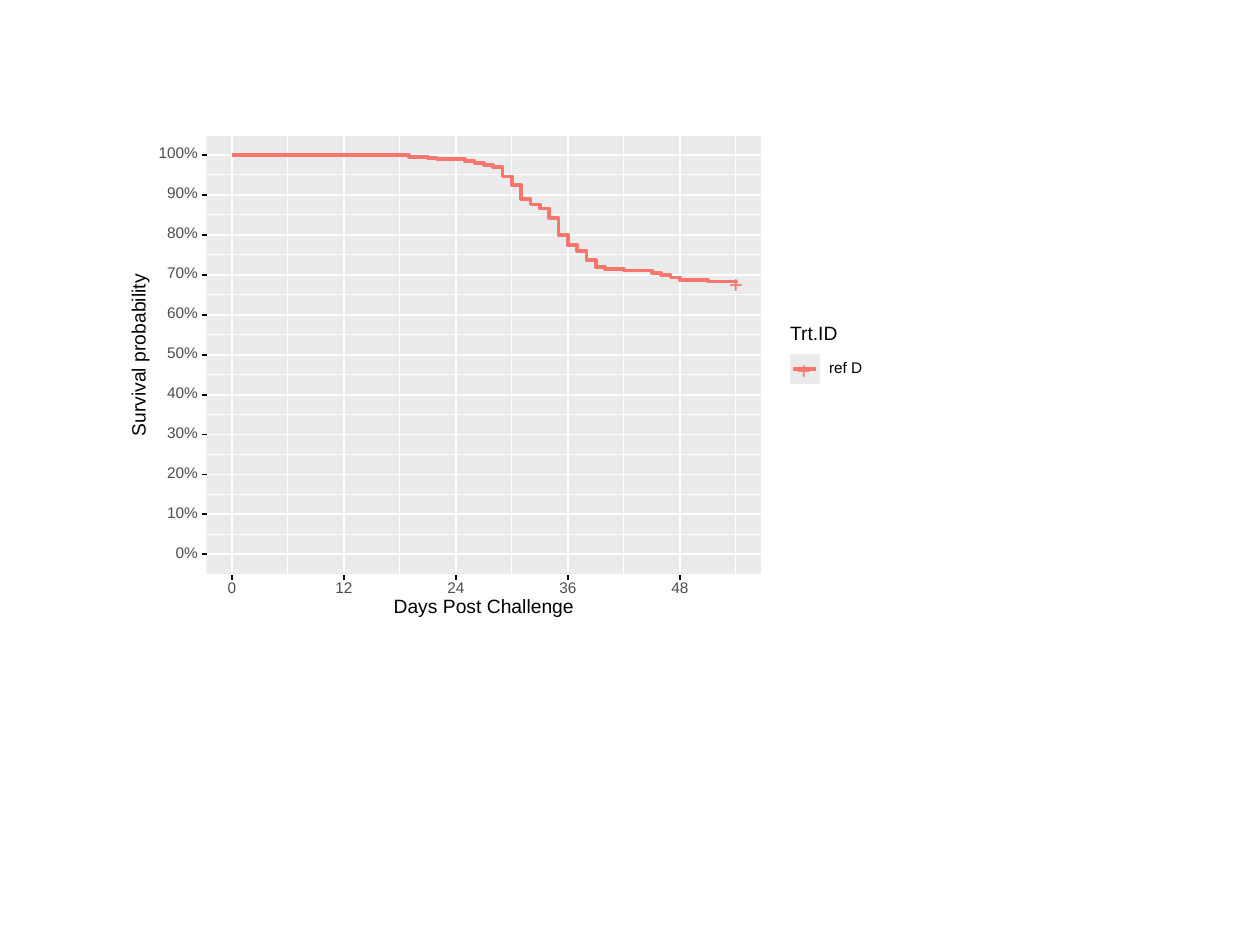
from pptx import Presentation
from pptx.dml.color import RGBColor
from pptx.enum.shapes import MSO_CONNECTOR as CONN, MSO_SHAPE as SHAPE
from pptx.enum.text import MSO_ANCHOR as ANCHOR, PP_ALIGN as ALIGN
from pptx.oxml.ns import qn
from pptx.util import Inches, Pt
from lxml.etree import SubElement

WHITE = RGBColor(0xFF, 0xFF, 0xFF)
BLACK = RGBColor(0, 0, 0)
PANEL = RGBColor(0xEB, 0xEB, 0xEB)
GREY = RGBColor(0x4D, 0x4D, 0x4D)
CORAL = RGBColor(0xF8, 0x76, 0x6D)

# Plot panel edges and line widths
LEFT, TOP, RIGHT, BOTTOM = 1.64, 1.08, 6.04, 4.56
TICK = 0.04
THIN, MEDIUM, THICK = 0.53, 1.07, 2.13

# Survival (%) from each day on
SURVIVAL = [
    (0, 100), (19, 99.5), (21, 99.2), (22, 98.9), (25, 98.5), (26, 98),
    (27, 97.4), (28, 97), (29, 94.6), (30, 92.4), (31, 89), (32, 87.6),
    (33, 86.6), (34, 84.3), (35, 80), (36, 77.4), (37, 76), (38, 73.7),
    (39, 72), (40, 71.4), (42, 71.1), (45, 70.4), (46, 70), (47, 69.3),
    (48, 68.7), (51, 68.3), (54, 67.9),
]


def day_x(day):
    return 1.84 + day * 4 / 54


def pct_y(pct):
    return 4.4 - pct * 3.17 / 100


class Plot:
    """Draws the parts of the plot as one group on a slide."""

    font = "Arial"

    def __init__(self, slide):
        self.shapes = slide.shapes.add_group_shape().shapes

    def rect(self, x, y, w, h, fill, line=None):
        sp = self.shapes.add_shape(SHAPE.RECTANGLE, Inches(x), Inches(y),
                                   Inches(w), Inches(h))
        sp.shadow.inherit = False
        sp.fill.solid()
        sp.fill.fore_color.rgb = fill
        if line is None:
            sp.line.fill.background()
        else:
            sp.line.color.rgb = line
            sp.line.width = Pt(MEDIUM)

    def line(self, x1, y1, x2, y2, color, width):
        cn = self.shapes.add_connector(CONN.STRAIGHT, Inches(x1), Inches(y1),
                                       Inches(x2), Inches(y2))
        cn.line.color.rgb = color
        cn.line.width = Pt(width)
        SubElement(cn._element.spPr, qn("a:effectLst"))

    def curve(self, points, color, width):
        pts = [(Inches(x), Inches(y)) for x, y in points]
        fb = self.shapes.build_freeform(*pts[0])
        fb.add_line_segments(pts[1:], close=False)
        sp = fb.convert_to_shape()
        sp.shadow.inherit = False
        sp.fill.background()
        sp.line.color.rgb = color
        sp.line.width = Pt(width)

    def text(self, text, x, y, w, h, size, color, align=ALIGN.LEFT, rotation=0):
        sp = self.shapes.add_textbox(Inches(x), Inches(y), Inches(w), Inches(h))
        sp.rotation = rotation
        tf = sp.text_frame
        tf.word_wrap = False
        tf.vertical_anchor = ANCHOR.MIDDLE
        tf.margin_left = tf.margin_right = tf.margin_top = tf.margin_bottom = 0
        p = tf.paragraphs[0]
        p.alignment = align
        p.line_spacing = Pt(size)
        r = p.add_run()
        r.text = text
        r.font.name = self.font
        r.font.size = Pt(size)
        r.font.color.rgb = color

    def censor_mark(self, x, y):
        self.text("+", x - 0.07, y, 0.14, 0.09, 13.7, CORAL, ALIGN.CENTER)


def main():
    prs = Presentation()
    prs.slide_width, prs.slide_height = Inches(10), Inches(7.5)
    s = prs.slides.add_slide(prs.slide_layouts[6])
    plot = Plot(s)

    # Background and panel
    plot.rect(1, 1, 6, 4, WHITE, WHITE)
    plot.rect(LEFT, TOP, RIGHT - LEFT, BOTTOM - TOP, PANEL)

    # Minor grid, then major grid
    pct_ticks, day_ticks = range(0, 101, 10), range(0, 49, 12)
    for pcts, days, width in (
        (range(-5, 106, 10), range(6, 55, 12), THIN),
        (pct_ticks, day_ticks, MEDIUM),
    ):
        for pct in pcts:
            plot.line(LEFT, pct_y(pct), RIGHT, pct_y(pct), WHITE, width)
        for day in days:
            plot.line(day_x(day), BOTTOM, day_x(day), TOP, WHITE, width)

    # Survival step curve: run along to each day, then drop
    steps = [(day_x(0), pct_y(100))]
    for day, pct in SURVIVAL[1:]:
        steps += [(day_x(day), steps[-1][1]), (day_x(day), pct_y(pct))]
    plot.curve(steps, CORAL, THICK)
    plot.censor_mark(day_x(54), 2.23)

    # Vertical axis
    for pct in pct_ticks:
        y, label = pct_y(pct), f"{pct}%"
        w = 0.1 + 0.07 * len(label)
        plot.text(label, 1.57 - w, y - 0.05, w, 0.09, 8.8, GREY, ALIGN.RIGHT)
        plot.line(LEFT - TICK, y, LEFT, y, BLACK, MEDIUM)
    plot.text("Survival probability", 0.36, 2.75, 1.5, 0.14, 11, BLACK,
              ALIGN.CENTER, rotation=270)

    # Horizontal axis
    for day in day_ticks:
        x, label = day_x(day), str(day)
        w = 0.05 + 0.07 * len(label)
        plot.text(label, x - w / 2, 4.63, w, 0.09, 8.8, GREY, ALIGN.CENTER)
        plot.line(x, BOTTOM + TICK, x, BOTTOM, BLACK, MEDIUM)
    plot.text("Days Post Challenge", 3.04, 4.75, 1.6, 0.14, 11, BLACK,
              ALIGN.CENTER)

    # Legend
    plot.rect(6.19, 2.51, 0.73, 0.61, WHITE)
    plot.text("Trt.ID", 6.27, 2.6, 0.45, 0.11, 11, BLACK)
    plot.rect(6.27, 2.81, 0.24, 0.24, PANEL)
    plot.line(6.29, 2.93, 6.48, 2.93, CORAL, THICK)
    plot.censor_mark(6.38, 2.91)
    plot.text("ref D", 6.58, 2.88, 0.34, 0.09, 8.8, BLACK)

    prs.save("out.pptx")


if __name__ == "__main__":
    main()
